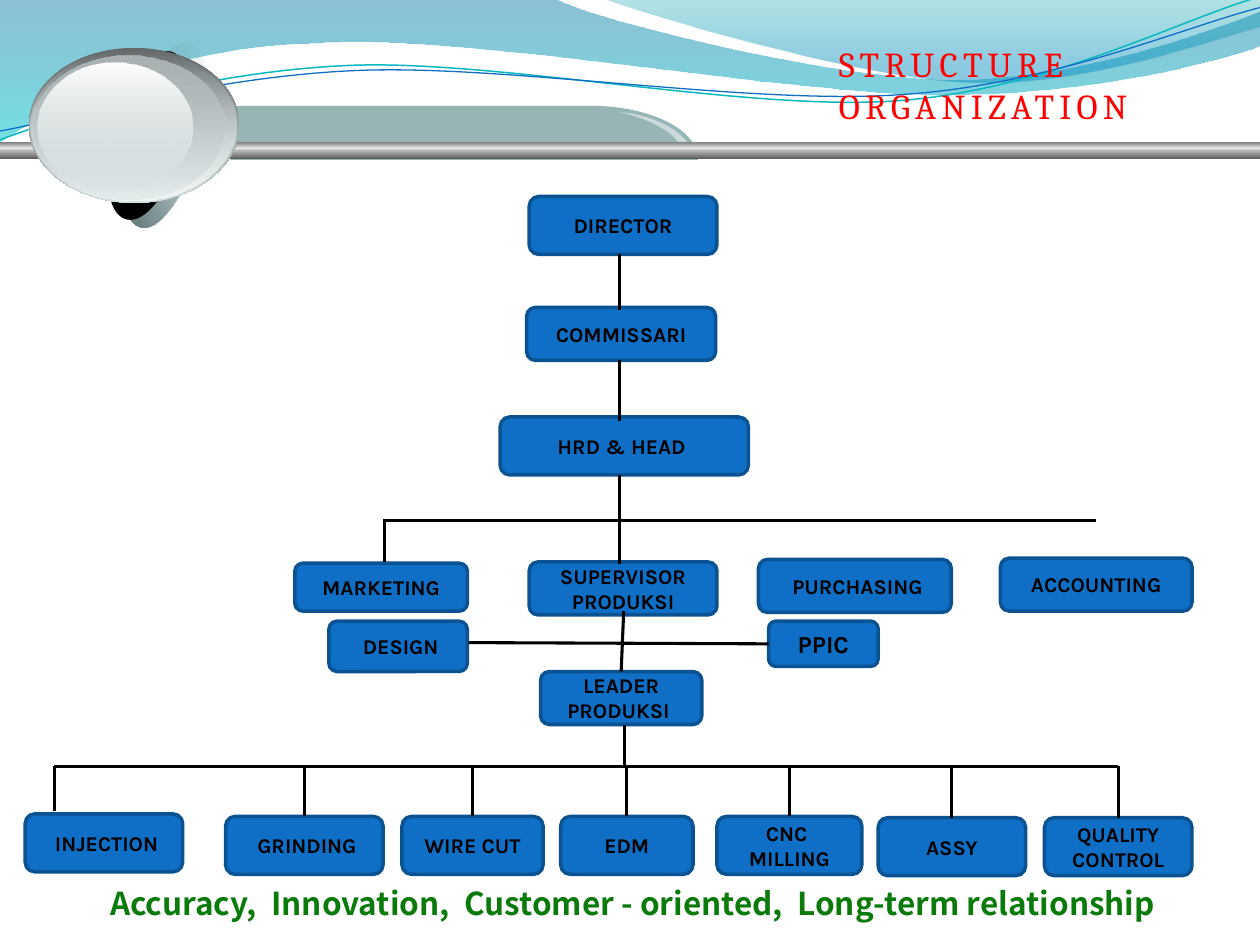
from pptx import Presentation
from pptx.dml.color import RGBColor
from pptx.enum.shapes import MSO_CONNECTOR, MSO_SHAPE
from pptx.enum.text import MSO_ANCHOR, PP_ALIGN
from pptx.oxml import parse_xml
from pptx.oxml.ns import nsdecls, qn
from pptx.util import Inches, Pt
from lxml import etree

BLUE, EDGE, BLACK = "0F6FC6", "0B5292", "000000"


def rgb(value):
    return RGBColor.from_string(value)


def stop_color(color, alpha=100):
    return f'<a:srgbClr val="{color}"><a:alpha val="{alpha * 1000}"/></a:srgbClr>'


def paint(sp, stops, angle=90, turns=0):
    """Fill with one (color, alpha) stop, or a gradient of (position, color, alpha)."""
    sp.shadow.inherit = False
    sp.line.fill.background()
    sp.fill.solid()
    if len(stops) == 1:
        xml = f'<a:solidFill {nsdecls("a")}>{stop_color(*stops[0])}</a:solidFill>'
    else:
        gs = "".join(f'<a:gs pos="{pos * 1000}">{stop_color(*rest)}</a:gs>'
                     for pos, *rest in stops)
        xml = (f'<a:gradFill {nsdecls("a")} rotWithShape="{turns}"><a:gsLst>{gs}</a:gsLst>'
               f'<a:lin ang="{angle * 60000}" scaled="0"/></a:gradFill>')
    spPr = sp._element.spPr
    spPr.replace(spPr.find(qn("a:solidFill")), parse_xml(xml))


def add_outline(s, start, *segments, close=True):
    """Outline of lines (x, y) and Bezier curves (x1, y1, x2, y2, x, y)."""
    builder = s.shapes.build_freeform(Inches(start[0]), Inches(start[1]))
    builder.add_line_segments([(Inches(seg[-2]), Inches(seg[-1])) for seg in segments],
                              close=close)
    sp = builder.convert_to_shape()
    # Turn the straight steps into curves where control points are given
    steps = list(sp._element.spPr.iter(qn("a:lnTo")))
    for step, seg in zip(steps, segments):
        if len(seg) == 6:
            step.tag = qn("a:cubicBezTo")
            for i, (x, y) in enumerate([seg[:2], seg[2:4]]):
                pt = etree.Element(qn("a:pt"), x=str(Inches(x) - sp.left),
                                   y=str(Inches(y) - sp.top))
                step.insert(i, pt)
    return sp


def add_shape(s, kind, box, rotation=0):
    sp = s.shapes.add_shape(kind, *map(Inches, box))
    sp.rotation = rotation
    return sp


def add_waves(s):
    """Translucent waves and two thin lines across the top."""
    wave = add_outline(
        s, (0, 0), (4.4, -0.01), (4.76, 0.17, 6.64, 0.63, 7.58, 0.63),
        (8.53, 0.63, 9.58, 0.26, 10, 0.09), (10.01, 0.36),
        (9.83, 0.44, 8.7, 0.76, 7.46, 0.75), (6.22, 0.75, 3.82, 0.28, 2.57, 0.34),
        (1.29, 0.36, 0.46, 0.83, -0.01, 1.13))
    paint(wave, [(0, "0074A1", 45), (100, "00C6CF", 55)])
    wave = add_outline(
        s, (4.79, -0.01), (5.09, 0.11, 6.82, 0.62, 7.69, 0.65),
        (8.56, 0.69, 9.61, 0.32, 10, 0.21), (10, 0))
    paint(wave, [(0, "00A1A9", 30), (80, "008BBF", 45)])
    lines = [
        ("0AB8BF", 0.85, (0, 1.11), (0.48, 0.93, 1.58, 0.57, 2.77, 0.52),
         (3.95, 0.47, 5.93, 0.89, 7.13, 0.8), (8.33, 0.71, 9.38, 0.15, 9.98, -0.02)),
        (BLUE, 0.75, (0, 1.04), (0.47, 0.96, 1.64, 0.61, 2.83, 0.56),
         (4.03, 0.51, 5.97, 0.84, 7.17, 0.75), (8.36, 0.67, 9.41, 0.21, 10, 0.06)),
    ]
    for color, width, *route in lines:
        sp = add_outline(s, *route, close=False)
        sp.shadow.inherit = False
        sp.fill.background()
        sp.line.color.rgb = rgb(color)
        sp.line.width = Pt(width)


def add_banner(s):
    """Grey tab, metal bar and oval badge."""
    tab = add_outline(s, (1.83, 0.84), (4.7, 0.84),
                      (5.1, 0.84, 5.54, 1, 5.54, 1.27), (1.83, 1.27))
    paint(tab, [("98B5B6",)])
    shine = add_outline(s, (5.5, 1.24), (5.48, 1.04, 5.15, 0.9, 4.91, 0.89),
                        (5.08, 0.92, 5.41, 1.04, 5.43, 1.24))
    paint(shine, [("FFFFFF", 49)])
    for box, top, bottom in [((0, 1.13, 10, 0.05), "808080", "ECECEC"),
                             ((0, 1.18, 10, 0.08), "CFCFCF", "5F5F5F")]:
        paint(add_shape(s, MSO_SHAPE.RECTANGLE, box), [(0, top), (100, bottom)])
    shadows = [
        ((0.55, 0.78, 1.52, 0.57), [(0, "53696A"), (100, "83A6A7", 0)]),
        ((1.23, 0.8, 0.28, 0.57), [(0, "83A6A7", 32), (100, BLACK, 90)]),
        ((0.49, 0.79, 1.38, 0.57), [(BLACK,)]),
    ]
    for box, stops in shadows:
        paint(add_shape(s, MSO_SHAPE.OVAL, box, 285), stops, angle=45, turns=1)
    badge = [
        ((0.45, 0.16, 1.23, 1.67), [(0, "636869"), (100, "D6E1E2")]),
        ((0.46, 0.18, 1.2, 1.63), [(0, "D6E1E2", 0), (100, "F1F5F5")]),
        ((0.45, 0.25, 1.14, 1.52), [(0, "AAB2B3"), (100, "D6E1E2", 48)]),
        ((0.41, 0.39, 1.01, 1.23), [(0, "FFFFFF"), (100, "D6E1E2", 38)]),
    ]
    for box, stops in badge:
        paint(add_shape(s, MSO_SHAPE.OVAL, box, 270), stops)


def set_text(tf, lines, font, size, color, bold=False, align=PP_ALIGN.CENTER):
    tf.word_wrap = True
    for i, line in enumerate(lines):
        p = tf.add_paragraph() if i else tf.paragraphs[0]
        p.text = line
        p.alignment = align
        p.font.name, p.font.size, p.font.bold = font, Pt(size), bold
        p.font.color.rgb = rgb(color)


def add_role(s, box, *lines, size=12):
    sp = add_shape(s, MSO_SHAPE.ROUNDED_RECTANGLE, box)
    sp.shadow.inherit = False
    sp.fill.solid()
    sp.fill.fore_color.rgb = rgb(BLUE)
    sp.line.color.rgb = rgb(EDGE)
    sp.line.width = Pt(2)
    sp.text_frame.vertical_anchor = MSO_ANCHOR.MIDDLE
    set_text(sp.text_frame, lines, "Karla", size, BLACK, bold=True)
    return sp


def add_line(s, x1, y1, x2, y2):
    line = s.shapes.add_connector(MSO_CONNECTOR.STRAIGHT, *map(Inches, (x1, y1, x2, y2)))
    line.line.color.rgb = rgb(BLACK)
    line.line.width = Pt(1.75)
    etree.SubElement(line._element.spPr, qn("a:effectLst"))
    return line


def add_management(s, spine_x=4.92, bus_y=4.13):
    """Chain of command from the director to the production leader."""
    add_role(s, (4.2, 1.56, 1.49, 0.46), "DIRECTOR")
    add_role(s, (4.18, 2.44, 1.5, 0.42), "COMMISSARI")
    add_role(s, (3.97, 3.31, 1.97, 0.46), "HRD & HEAD ")
    add_role(s, (4.2, 4.46, 1.49, 0.42), "SUPERVISOR", "PRODUKSI")
    ppic = add_role(s, (6.1, 4.93, 0.87, 0.36), "PPIC", size=14)
    add_role(s, (7.94, 4.43, 1.52, 0.42), "ACCOUNTING")
    leader = add_role(s, (4.29, 5.33, 1.28, 0.42), "LEADER", "PRODUKSI ")
    add_role(s, (2.61, 4.93, 1.1, 0.4), " DESIGN")
    add_role(s, (2.34, 4.47, 1.37, 0.38), "MARKETING")
    add_role(s, (6.02, 4.44, 1.53, 0.42), " PURCHASING")
    for top, bottom in [(2.02, 2.46), (2.86, 3.34), (3.77, 4.48)]:
        add_line(s, spine_x, top, spine_x, bottom)
    add_line(s, 3.04, bus_y, 8.7, bus_y)
    add_line(s, 3.05, bus_y, 3.05, 4.46)
    add_line(s, 3.72, 5.1, 6.1, 5.11).end_connect(ppic, 1)
    add_line(s, 4.93, 5.33, 4.95, 4.85).begin_connect(leader, 0)


def add_workshops(s, bus_y=6.08):
    """Row of production sections hanging from one bus line."""
    add_line(s, 4.96, 5.75, 4.96, bus_y)
    add_line(s, 0.43, bus_y, 8.87, bus_y)
    add_role(s, (0.2, 6.46, 1.25, 0.46), " INJECTION")
    add_line(s, 0.43, bus_y, 0.43, 6.44)
    sections = [
        (1.79, 6.48, 1.25, [" GRINDING"]), (3.19, 6.48, 1.12, ["WIRE CUT"]),
        (4.45, 6.48, 1.05, ["EDM"]), (5.69, 6.48, 1.15, ["CNC ", "MILLING"]),
        (6.97, 6.49, 1.17, ["ASSY"]), (8.29, 6.49, 1.17, ["QUALITY", "CONTROL"]),
    ]
    for x, y, width, lines in sections:
        section = add_role(s, (x, y, width, 0.46), *lines)
        middle = x + width / 2
        add_line(s, middle, bus_y, middle, y).end_connect(section, 0)


def add_captions(s):
    """Motto at the bottom and title at the top right."""
    motto = s.shapes.add_textbox(*map(Inches, (0.22, 6.97, 9.66, 0.4)))
    set_text(motto.text_frame,
             ["Accuracy,  Innovation,  Customer - oriented,  Long-term relationship "],
             "Noto Sans CJK KR", 18, "0A7A0A", bold=True)
    title = s.shapes.add_textbox(*map(Inches, (6.56, 0.29, 3.26, 0.77)))
    set_text(title.text_frame, ["STRUCTURE ORGANIZATION"], "Cambria", 20, "FF0000",
             align=PP_ALIGN.LEFT)
    r = title.text_frame.paragraphs[0].runs[0]
    r._r.get_or_add_rPr().set("spc", "300")


def main():
    prs = Presentation()
    prs.slide_width, prs.slide_height = Inches(10), Inches(7.5)
    s = prs.slides.add_slide(prs.slide_layouts[6])
    for add_region in (add_waves, add_banner, add_management, add_workshops, add_captions):
        add_region(s)
    prs.save("out.pptx")


if __name__ == "__main__":
    main()
